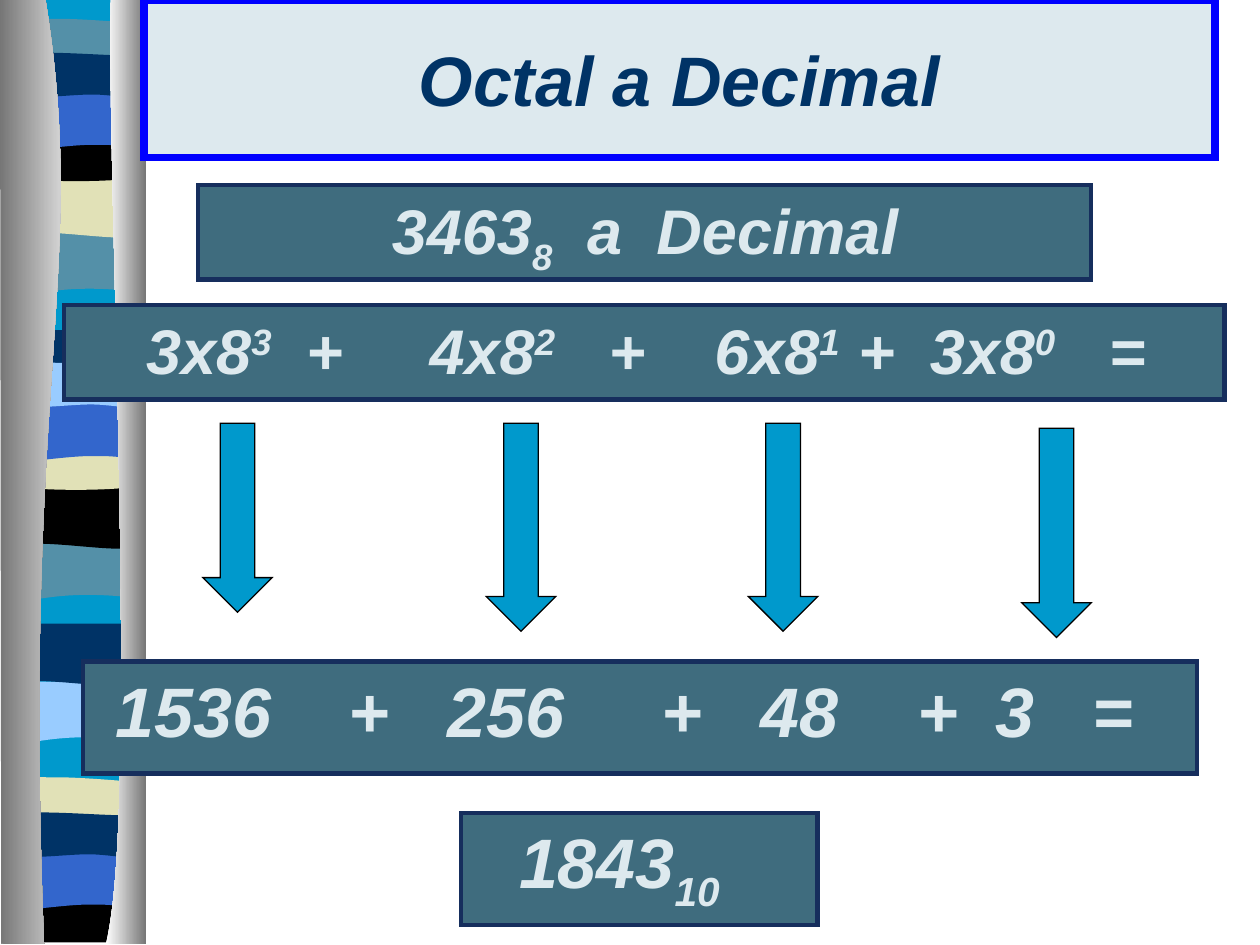
from lxml import etree
from pptx import Presentation
from pptx import util as u
from pptx.dml.color import RGBColor
from pptx.enum import shapes, text
from pptx.oxml import ns

COLOURS = {
    "sky": "0099CC", "teal": "5490A8", "cream": "E1E1B7", "black": "000000",
    "blue": "3366CC", "navy": "003366", "ice": "99CCFF", "white": "FFFFFF",
    "grey": "767676", "pale": "DDE9EE", "frame": "0000FF",
    "panel": "3F6C7E", "edge": "162E5D",
}
CELL = u.Inches(0.1)  # the slide is a grid of 100 columns by 75 rows
SUB, SUPER = -25000, 30000

# Band outlines in cells: two numbers are a corner, six are a Bézier curve
OUTLINES = {
    "swell": [(10.6, 0), (10.6, 4.7), (3.3, 3.8, 1.8, 5.4, 0, 4.7), (0, 0)],
    "wave": [(10.7, 0), (10.7, 4.7), (8.9, 5.5, 3.3, 4.1, 0, 4.7), (0, 0)],
    "bump": [(10.6, 0.5), (10.6, 3), (8.9, 3.4, 1.8, 3.4, 0, 3), (0, 0.5),
             (0.7, 0, 2.4, 0.1, 4.1, 0.1), (5.9, 0.1, 9.3, 0.4, 10.6, 0.5)],
    "sag": [(10.6, 0), (10.6, 3.3), (8.9, 3.8, 1.8, 3.8, 0, 3.3), (0, 0),
            (6.6, 0.5, 8.4, 0, 10.6, 0)],
    "arch": [(10.6, 0), (10.6, 4.7), (8.9, 4.2, 8.3, 4.2, 6.5, 4.2),
             (4.7, 4.2, 1.6, 4.7, 0, 4.7), (0, 0)],
    "lens": [(10.6, 0.5), (10.6, 3.6), (9.9, 4.1, 8.3, 3.6, 6.5, 3.6),
             (4.7, 3.6, 1.1, 4.1, 0, 3.6), (0, 0.5),
             (1.5, 0, 7.2, 0.5, 9, 0.5), (10.7, 0.5, 10.2, 0.5, 10.6, 0.5)],
    "floor": [(10.6, 0), (10.6, 3.7), (0, 3.7), (0, 0),
              (6.6, 0.5, 8.4, 0, 10.6, 0)],
}
# Bands from back to front: outline, column, row, colour
BANDS = [
    ("swell", 0.7, 18.6, "teal"), ("wave", 0.8, 14, "cream"),
    ("bump", 0.8, 1.5, "teal"), ("sag", 0.7, 10.8, "black"),
    ("arch", 0.8, 7.4, "blue"), ("lens", 0.8, 4, "navy"),
    ("swell", 0.6, 42.9, "teal"), ("wave", 0.7, 38.7, "black"),
    ("bump", 0.7, 26.2, "navy"), ("sag", 0.7, 35.3, "cream"),
    ("arch", 0.7, 32.1, "blue"), ("lens", 0.7, 28.6, "ice"),
    ("swell", 0.5, 54.2, "ice"), ("wave", 0.6, 49.6, "navy"),
    ("bump", 0.6, 61.7, "cream"), ("floor", 0.6, 71.2, "black"),
    ("arch", 0.5, 67.7, "blue"), ("lens", 0.5, 64.3, "navy"),
]
LEFT_EDGE = [(3.6, 0), (7.1, 21.7, 1.7, 29.7, 3.5, 75), (0.1, 75), (0, 0)]
RIGHT_EDGE = [(0.4, 0), (0, 12.6, 2.7, 64.7, 0, 75), (3.2, 75), (3.2, 0)]


def cells(*values):
    return [round(value * CELL) for value in values]


def rgb(name):
    return RGBColor.from_string(COLOURS[name])


def add_outline(slide, outline, column, row):
    """Draw through every point, then join each curve's three into a Bézier."""
    points = [cells(column + x, row + y)
              for part in outline for x, y in zip(part[::2], part[1::2])]
    builder = slide.shapes.build_freeform(*points[0], scale=1.0)
    builder.add_line_segments(points[1:], close=True)
    shape = builder.convert_to_shape()
    lines = iter(list(shape._element.iter(ns.qn("a:lnTo"))))
    for part in outline[1:]:
        segment = [next(lines) for _ in range(len(part) // 2)]
        if len(segment) == 3:
            curve = etree.Element(ns.qn("a:cubicBezTo"))
            segment[0].addprevious(curve)
            for line in segment:
                curve.append(line[0])
                line.getparent().remove(line)
    shape.shadow.inherit = False
    shape.line.fill.background()
    return shape


def add_preset(slide, kind, box, fill, line, width):
    shape = slide.shapes.add_shape(kind, *cells(*box))
    shape.shadow.inherit = False
    shape.fill.solid()
    shape.fill.fore_color.rgb = rgb(fill)
    shape.line.color.rgb = rgb(line)
    shape.line.width = u.Pt(width)
    # Square corners
    etree.SubElement(shape.line._get_or_add_ln(), ns.qn("a:miter"), lim="800000")
    return shape


def format_run(run, size, colour):
    run.font.name = "Arial"
    run.font.size = u.Pt(size)
    run.font.bold = run.font.italic = True
    run.font.color.rgb = rgb(colour)


def add_ribbon(slide, box):
    column, row, width, height = box
    # Base colour and bands
    base = [(width, 0), (width, height), (0, height), (0, 0)]
    pieces = [(base, column + 0.8, row, "sky")]
    pieces += [(OUTLINES[name], column + x, row + y, colour) for name, x, y, colour in BANDS]
    for outline, x, y, colour in pieces:
        shape = add_outline(slide, outline, x, y)
        shape.fill.solid()
        shape.fill.fore_color.rgb = rgb(colour)
    # Shaded curtains on both sides
    for outline, x, tones in ((LEFT_EDGE, column, ("grey", "white")),
                              (RIGHT_EDGE, column + 8.4, ("white", "grey"))):
        shape = add_outline(slide, outline, x, row)
        shape.fill.gradient()
        shape.fill.gradient_angle = 0
        for stop, tone in zip(shape.fill.gradient_stops, tones):
            stop.color.rgb = rgb(tone)


def add_title(slide, box, title):
    shape = add_preset(slide, shapes.MSO_SHAPE.RECTANGLE, box, "pale", "frame", 4.5)
    frame = shape.text_frame
    frame.word_wrap = True
    frame.vertical_anchor = text.MSO_ANCHOR.MIDDLE
    frame.text = title
    paragraph = frame.paragraphs[0]
    paragraph.alignment = text.PP_ALIGN.CENTER
    format_run(paragraph.runs[0], 40, "navy")


def add_panel(slide, box, size, columns, terms):
    """Place each term, a list of (text, baseline) runs, at its slide column."""
    shape = add_preset(slide, shapes.MSO_SHAPE.RECTANGLE, box, "panel", "edge", 2.5)
    frame = shape.text_frame
    frame.word_wrap = True
    frame.vertical_anchor = text.MSO_ANCHOR.TOP
    frame.margin_left, frame.margin_right = cells(columns[0] - box[0], 0)
    paragraph = frame.paragraphs[0]
    paragraph.alignment = text.PP_ALIGN.LEFT
    paragraph.space_before = u.Pt(size / 4)
    # Tab stops for every term after the first
    tabs = etree.SubElement(paragraph._p.get_or_add_pPr(), ns.qn("a:tabLst"))
    for column in columns[1:]:
        position, = cells(column - columns[0])
        etree.SubElement(tabs, ns.qn("a:tab"), pos=str(position), algn="l")
    for index, term in enumerate(terms):
        for part, (wording, baseline) in enumerate(term):
            run = paragraph.add_run()
            run.text = ("\t" if index and not part else "") + wording
            format_run(run, size, "pale")
            if baseline:
                run.font._element.set("baseline", str(baseline))


def add_arrows(slide, boxes):
    for box in boxes:
        arrow = add_preset(slide, shapes.MSO_SHAPE.DOWN_ARROW, box, "sky", "black", 0.75)
        arrow.adjustments[0], arrow.adjustments[1] = 0.5, 0.5


def power(factor, exponent):
    return [(f"{factor}x8", 0), (str(exponent), SUPER)]


def plain(wording):
    return [(wording, 0)]


def main():
    presentation = Presentation()
    presentation.slide_width, presentation.slide_height = cells(100, 75)
    slide = presentation.slides.add_slide(presentation.slide_layouts[6])

    add_ribbon(slide, (0, -0.1, 10.6, 74.8))
    add_title(slide, (11.4, 0, 85, 12.5), "Octal a Decimal")

    # Sum of the products
    add_panel(slide, (6.6, 52.5, 88.4, 8.9), 40,
              [9.2, 27.7, 35.5, 52.5, 60.4, 72.8, 79, 86.7],
              [plain(term) for term in "1536 + 256 + 48 + 3 =".split()])
    # Number to convert
    add_panel(slide, (15.7, 14.7, 70.9, 7.5), 36, [31.1, 46.6, 52.1],
              [[("3463", 0), ("8", SUB)], plain("a"), plain("Decimal")])
    # Powers of eight
    add_panel(slide, (5.1, 24.2, 92.1, 7.5), 36,
              [11.6, 24.3, 34.1, 48.3, 56.7, 68.1, 73.8, 88],
              [power(3, 3), plain("+"), power(4, 2), plain("+"),
               power(6, 1), plain("+"), power(3, 0), plain("=")])
    add_arrows(slide, [(16.1, 33.6, 5.5, 15), (38.6, 33.6, 5.5, 16.5),
                       (59.4, 33.6, 5.5, 16.5), (81.1, 34, 5.5, 16.6)])
    # Result
    add_panel(slide, (36.6, 64.5, 28.3, 8.9), 40, [41.2],
              [[("1843", 0), ("10", SUB)]])

    presentation.save("out.pptx")


if __name__ == "__main__":
    main()
